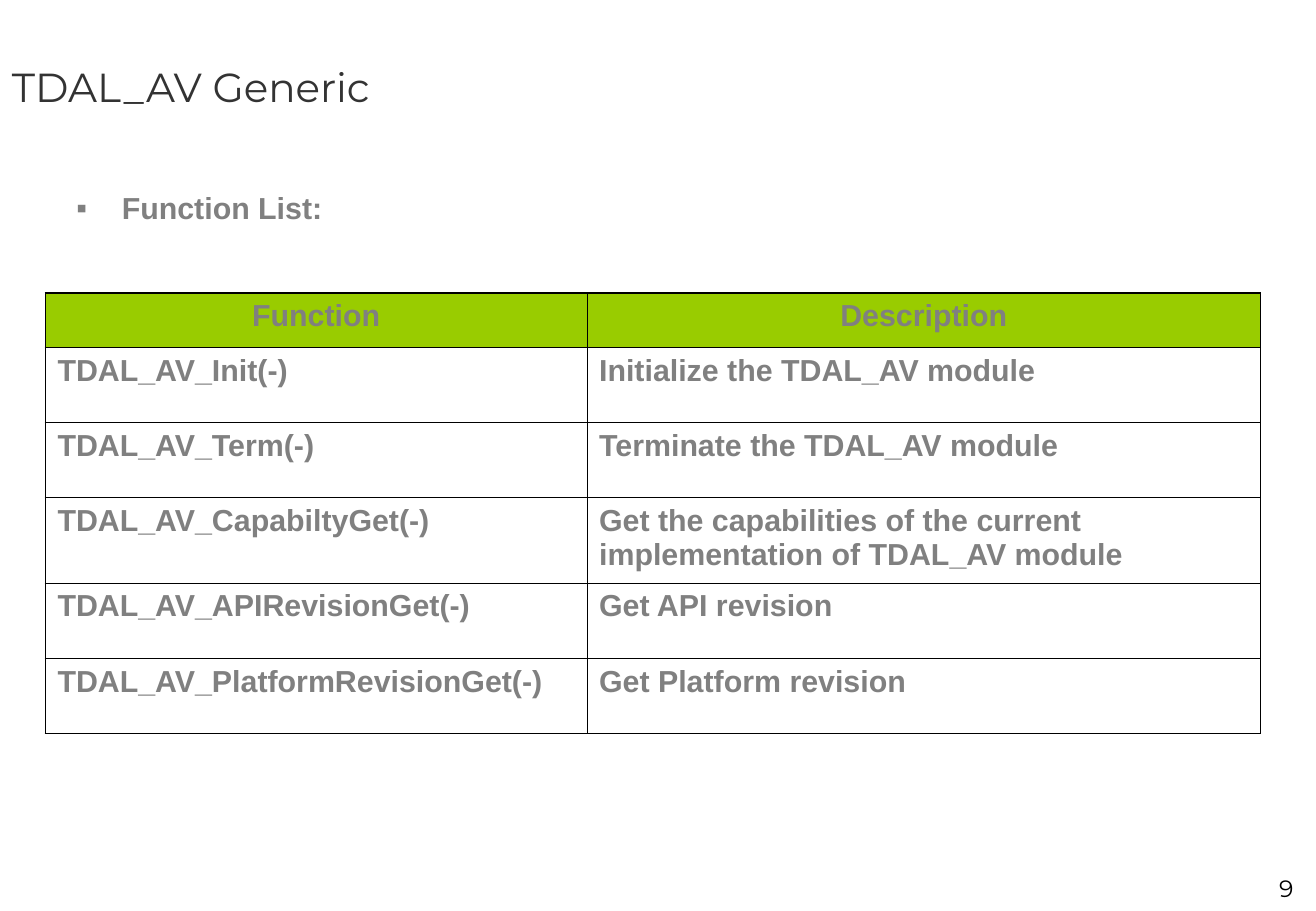
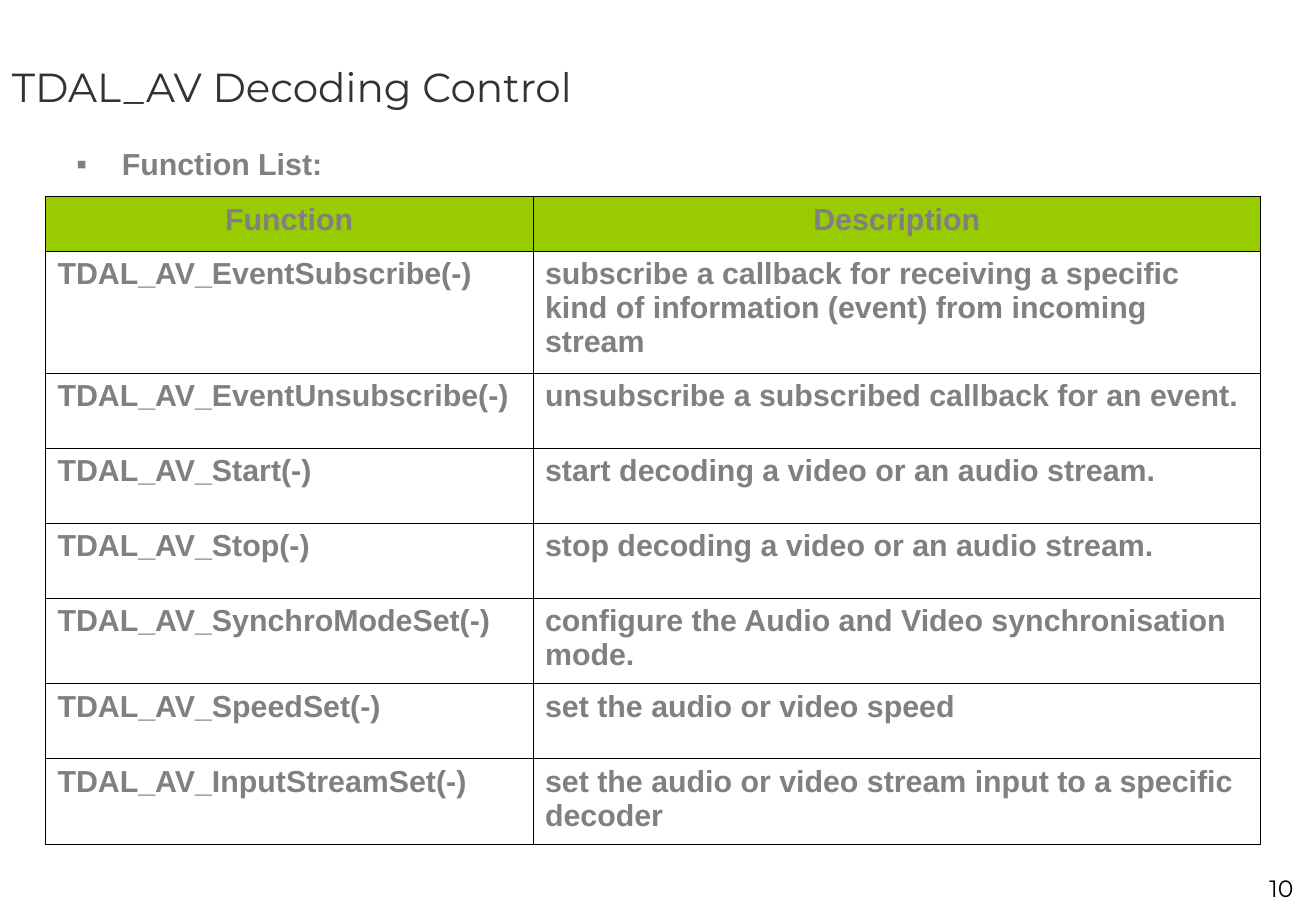
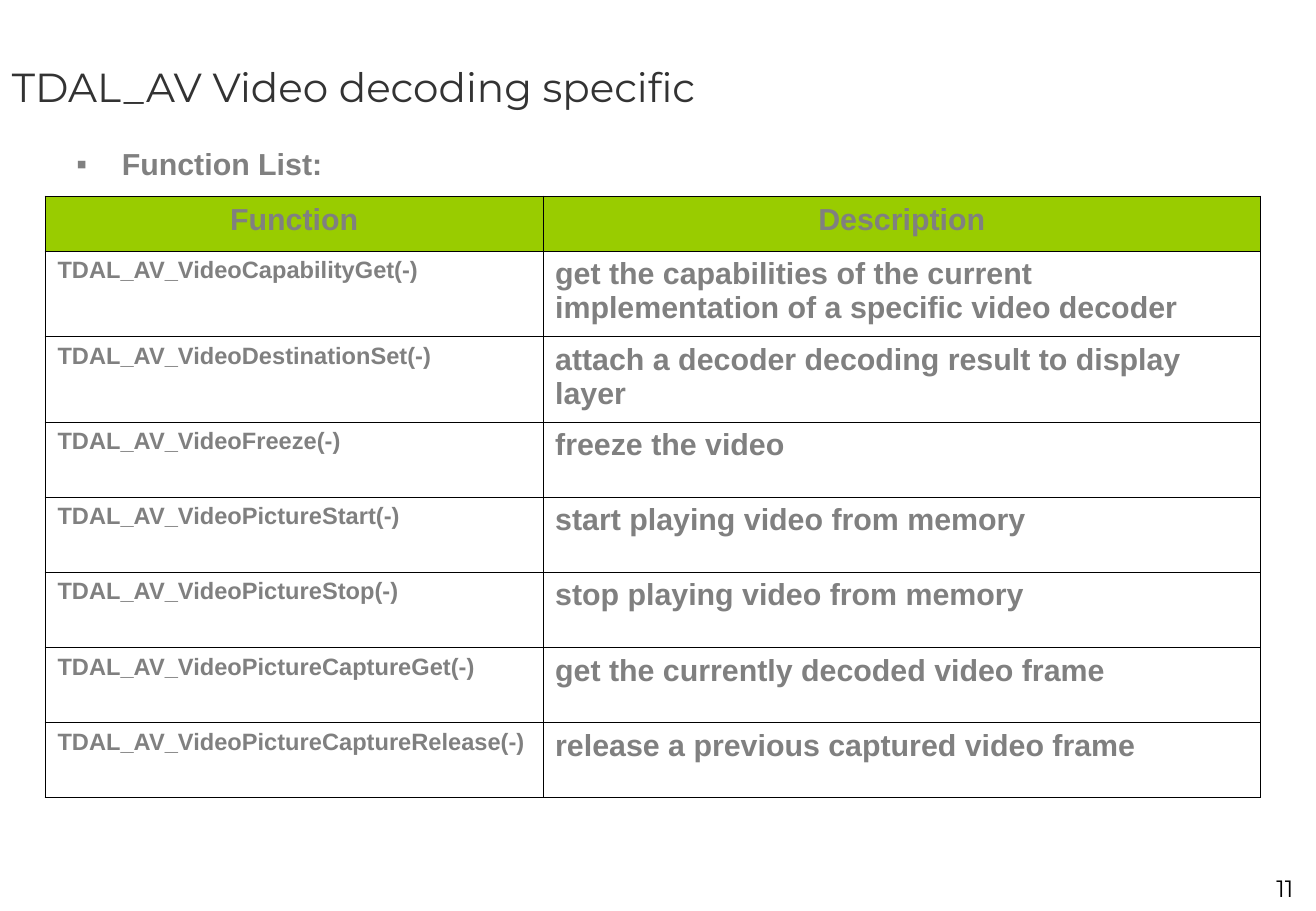
"""Build three slides that list the TDAL_AV functions in tables."""
from lxml import etree
from pptx import Presentation
from pptx.dml.color import RGBColor
from pptx.enum.text import MSO_ANCHOR, PP_ALIGN
from pptx.oxml.ns import qn
from pptx.util import Cm, Pt

LEFT, CENTER, RIGHT = PP_ALIGN.LEFT, PP_ALIGN.CENTER, PP_ALIGN.RIGHT
TOP, MIDDLE = MSO_ANCHOR.TOP, MSO_ANCHOR.MIDDLE

TITLE_FONT, BODY_FONT = "Montserrat", "Arial"
TITLE_COLOR, GRAY, GREEN, BLACK = "333333", "808080", "99CC00", "000000"
SLIDE_W, SLIDE_H = 27.53, 19.05
TABLE_LEFT, TABLE_W = 0.95, 25.42
HEADER_H = 1.14
ROW_H = {1: 1.57, 2: 1.79, 3: 2.55}
BULLET_INDENT = 0.95
OUTER, INNER = 1.08, 0.45
HEADERS = ("Function", "Description")

SLIDES = [
    {
        "title": "TDAL_AV Generic", "page": 9,
        "list_top": 3.84, "table_top": 6.13, "name_w": 11.33, "name_size": 18,
        "rows": [
            ("TDAL_AV_Init(-)", "Initialize the TDAL_AV module", 1),
            ("TDAL_AV_Term(-)", "Terminate the TDAL_AV module", 1),
            ("TDAL_AV_CapabiltyGet(-)",
             "Get the capabilities of the current implementation of TDAL_AV module", 2),
            ("TDAL_AV_APIRevisionGet(-)", "Get API revision", 1),
            ("TDAL_AV_PlatformRevisionGet(-)", "Get Platform revision", 1),
        ],
    },
    {
        "title": "TDAL_AV Decoding Control", "page": 10,
        "list_top": 2.92, "table_top": 4.11, "name_w": 10.2, "name_size": 18,
        "rows": [
            ("TDAL_AV_EventSubscribe(-)",
             "subscribe a callback for receiving a specific kind of information "
             "(event) from incoming stream", 3),
            ("TDAL_AV_EventUnsubscribe(-)",
             "unsubscribe a subscribed callback for an event.", 1),
            ("TDAL_AV_Start(-)", "start decoding a video or an audio stream.", 1),
            ("TDAL_AV_Stop(-)", "stop decoding a video or an audio stream.", 1),
            ("TDAL_AV_SynchroModeSet(-)",
             "configure the Audio and Video synchronisation mode.", 2),
            ("TDAL_AV_SpeedSet(-)", "set the audio or video speed", 1),
            ("TDAL_AV_InputStreamSet(-)",
             "set the audio or video stream input to a specific decoder", 2),
        ],
    },
    {
        "title": "TDAL_AV Video decoding specific", "page": 11,
        "list_top": 2.92, "table_top": 4.11, "name_w": 10.41, "name_size": 14,
        "rows": [
            ("TDAL_AV_VideoCapabilityGet(-)",
             "get the capabilities of the current implementation of a specific "
             "video decoder", 2),
            ("TDAL_AV_VideoDestinationSet(-)",
             "attach a decoder decoding result to display layer", 2),
            ("TDAL_AV_VideoFreeze(-)", "freeze the video", 1),
            ("TDAL_AV_VideoPictureStart(-)", "start playing video from memory", 1),
            ("TDAL_AV_VideoPictureStop(-)", "stop playing video from memory", 1),
            ("TDAL_AV_VideoPictureCaptureGet(-)",
             "get the currently decoded video frame", 1),
            ("TDAL_AV_VideoPictureCaptureRelease(-)",
             "release a previous captured video frame", 1),
        ],
    },
]


def rgb(color):
    return RGBColor.from_string(color)


def write(p, text, size, font, color, bold=False, align=LEFT):
    p.alignment = align
    r = p.add_run()
    r.text = text
    r.font.size, r.font.name, r.font.bold = Pt(size), font, bold
    r.font.color.rgb = rgb(color)


def write_body(p, text, size=18, align=LEFT):
    p.space_before = Pt(size / 4)
    write(p, text, size, BODY_FONT, GRAY, True, align)


def add_box(s, left, top, width, height, anchor=TOP):
    tf = s.shapes.add_textbox(Cm(left), Cm(top), Cm(width), Cm(height)).text_frame
    tf.word_wrap, tf.vertical_anchor = True, anchor
    return tf.paragraphs[0]


def add_bullet(p):
    pPr = p._p.get_or_add_pPr()
    pPr.set("marL", str(Cm(BULLET_INDENT)))
    pPr.set("indent", str(-Cm(BULLET_INDENT)))
    color = etree.SubElement(pPr, qn("a:buClr"))
    etree.SubElement(color, qn("a:srgbClr"), val=GRAY)
    etree.SubElement(pPr, qn("a:buFont"), typeface=BODY_FONT)
    etree.SubElement(pPr, qn("a:buChar"), char="▪")


def set_borders(cell, outer_sides):
    tcPr = cell._tc.get_or_add_tcPr()
    for side in "LRTB":
        width = OUTER if side in outer_sides else INNER
        line = etree.SubElement(tcPr, qn("a:ln" + side), w=str(Pt(width)))
        fill = etree.SubElement(line, qn("a:solidFill"))
        etree.SubElement(fill, qn("a:srgbClr"), val=BLACK)


def add_function_table(s, top, name_w, name_size, rows):
    heights = [HEADER_H] + [ROW_H[lines] for _, _, lines in rows]
    texts = [HEADERS] + [row[:2] for row in rows]
    table = s.shapes.add_table(len(texts), 2, Cm(TABLE_LEFT), Cm(top),
                               Cm(TABLE_W), Cm(sum(heights))).table
    table.first_row = table.horz_banding = False
    for column, width in zip(table.columns, (name_w, TABLE_W - name_w)):
        column.width = Cm(width)
    for i, (height, pair) in enumerate(zip(heights, texts)):
        table.rows[i].height = Cm(height)
        edge = "T" if i == 0 else "B" if i == len(rows) else ""
        for j, text in enumerate(pair):
            cell = table.cell(i, j)
            set_borders(cell, "LR"[j] + edge)
            if i == 0:
                cell.fill.solid()
                cell.fill.fore_color.rgb = rgb(GREEN)
            else:
                cell.fill.background()
            size = name_size if i and j == 0 else 18
            write_body(cell.text_frame.paragraphs[0], text, size,
                       LEFT if i else CENTER)


def add_function_slide(prs, data):
    s = prs.slides.add_slide(prs.slide_layouts[6])
    write(add_box(s, 0, 0, SLIDE_W, 3.6, MIDDLE), data["title"], 24,
          TITLE_FONT, TITLE_COLOR)
    p = add_box(s, 1.35, data["list_top"], 25.17, 1.1)
    write_body(p, "Function List:")
    add_bullet(p)
    add_function_table(s, data["table_top"], data["name_w"], data["name_size"],
                       data["rows"])
    write(add_box(s, 24.36, 18.14, 2.95, 0.84), str(data["page"]), 14,
          TITLE_FONT, BLACK, align=RIGHT)


def main():
    prs = Presentation()
    prs.slide_width, prs.slide_height = Cm(SLIDE_W), Cm(SLIDE_H)
    for data in SLIDES:
        add_function_slide(prs, data)
    prs.save("out.pptx")


if __name__ == "__main__":
    main()
